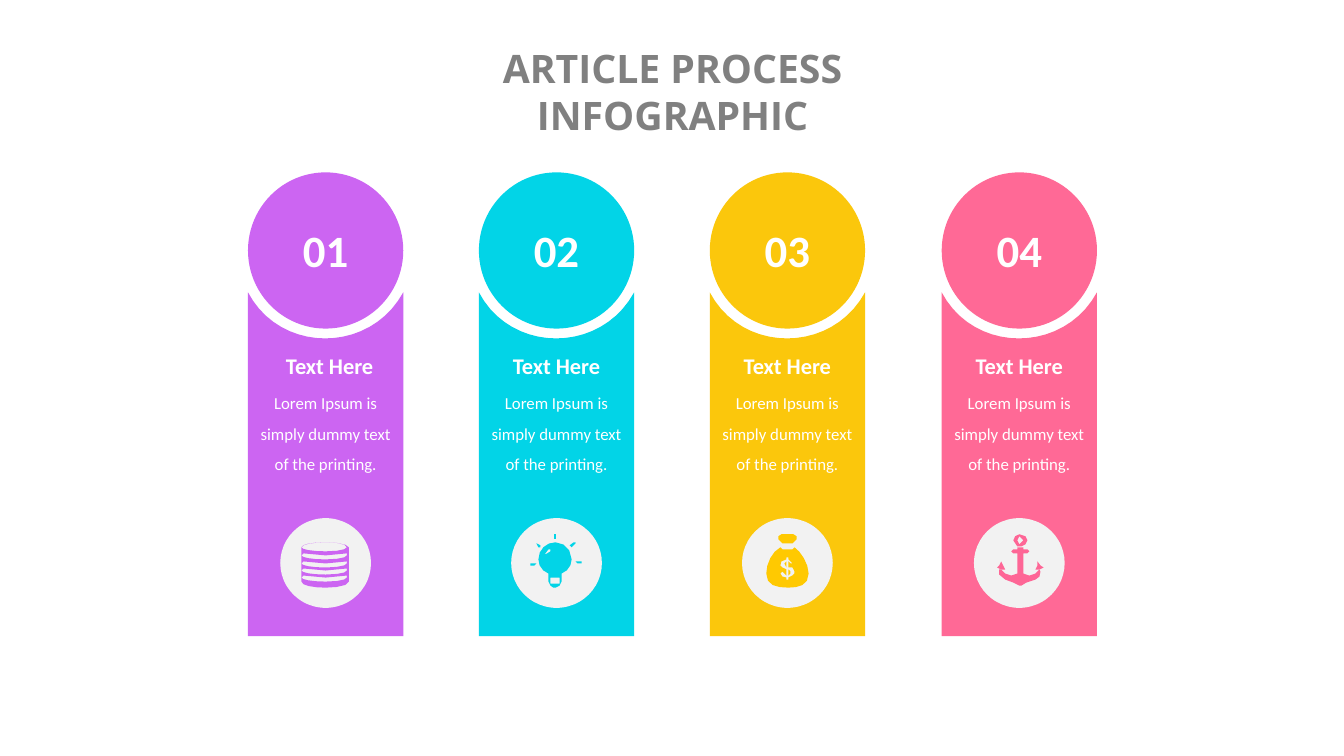
from dataclasses import dataclass
from math import dist
from pptx import Presentation
from pptx.dml.color import RGBColor
from pptx.enum.shapes import MSO_SHAPE
from pptx.enum.text import PP_ALIGN
from pptx.util import Pt

PX = 9144


@dataclass(frozen=True)
class Theme:
    white: str = "FFFFFF"
    title: str = "808080"
    badge: str = "F2F2F2"
    columns: tuple = ("CC65F2", "02D4E7", "FBC70C", "FF6996")
    icons: tuple = ("CC65F2", "02D4E7", "FFC901", "FE6696")
    title_font: str = "Open Sans"
    body_font: str = "Calibri"
    title_size: int = 28
    number_size: int = 32
    heading_size: int = 16
    body_size: int = 12


theme = Theme()
deck = Presentation()
deck.slide_width, deck.slide_height = 1333 * PX, 750 * PX
slide = deck.slides.add_slide(deck.slide_layouts[6])


def write(text, left, top, width, height, size, color=theme.white,
          font=theme.body_font, bold=True, wrap=False, margin=10, spacing=None):
    box = slide.shapes.add_textbox(left * PX, top * PX, width * PX, height * PX)
    frame = box.text_frame
    frame.word_wrap = wrap
    frame.margin_left = frame.margin_right = margin * PX
    paragraph = frame.paragraphs[0]
    paragraph.alignment = PP_ALIGN.CENTER
    paragraph.line_spacing = spacing
    run = paragraph.add_run()
    run.text = text
    run.font.name, run.font.size, run.font.bold = font, Pt(size), bold
    run.font.color.rgb = RGBColor.from_string(color)


def draw_outline(shapes, contours, color):
    builder = None
    for start, *segments in contours:
        points = [start]
        for segment in segments:
            if len(segment) == 2:
                points.append(segment)
                continue
            curve = [points[-1], segment[:2], segment[2:4], segment[4:]]
            steps = 1 + int(dist(curve[0], curve[3]) / 8)
            for step in range(1, steps + 1):
                t = step / steps
                weights = ((1 - t) ** 3, 3 * t * (1 - t) ** 2, 3 * t * t * (1 - t), t ** 3)
                points.append(tuple(sum(w * p[axis] for w, p in zip(weights, curve))
                                    for axis in (0, 1)))
        scaled = [(round(x * PX), round(y * PX)) for x, y in points]
        if builder is None:
            builder = shapes.build_freeform(*scaled[0], scale=1.0)
        else:
            builder.move_to(*scaled[0])
        builder.add_line_segments(scaled[1:], close=True)
    outline = builder.convert_to_shape()
    outline.shadow.inherit = False
    outline.fill.solid()
    outline.fill.fore_color.rgb = RGBColor.from_string(color)
    outline.line.fill.background()


coin_stack = [
    [(299, 543), (299, 540, 311, 538, 323, 538), (334, 538, 346, 540, 346, 543),
     (346, 577), (346, 581, 334, 583, 323, 583), (311, 583, 299, 581, 299, 577)],
    [(323, 538), (336, 538, 344, 540, 344, 543), (344, 545, 336, 547, 323, 547),
     (309, 547, 299, 545, 299, 543), (299, 540, 309, 538, 323, 538)],
]
for drop in (0, 8, 15, 22):
    coin_stack.append([
        (344, 551 + drop),
        (344, 553 + drop, 336, 555 + drop, 323, 555 + drop),
        (309, 555 + drop, 299, 553 + drop, 299, 551 + drop),
        (301, 549 + drop), (323, 551 + drop), (344, 549 + drop),
    ])

light_bulb = [
    [[(549, 535), (549, 530), (551, 530), (551, 535)]],
    [[(532, 539), (536, 541), (536, 543), (534, 543)]],
    [[(526, 559), (532, 559), (530, 561), (526, 561)]],
    [[(571, 557), (577, 557), (577, 559), (573, 559)]],
    [[(565, 541), (569, 538), (571, 538), (571, 539), (567, 543)]],
    [
        [(567, 555), (567, 545, 559, 538, 551, 538), (542, 538, 534, 545, 534, 555),
         (534, 561, 538, 567, 544, 569), (544, 577), (546, 581), (549, 583),
         (551, 583), (555, 581), (557, 577), (557, 569), (563, 567, 567, 561, 567, 555)],
        [(555, 573), (555, 579), (546, 579), (546, 573)],
        [(546, 547), (541, 550), (540, 555), (541, 549), (544, 545), (546, 545)],
    ],
]

money_bag = [
    [[(778, 559), (780, 563), (780, 557)]],
    [[(782, 565), (782, 571), (784, 569), (784, 567)]],
    [[(786, 539), (790, 535), (790, 532), (787, 530), (775, 530), (772, 532),
      (772, 535), (776, 539)]],
    [
        [(788, 543), (786, 545), (776, 545), (774, 543), (766, 547, 760, 559, 760, 569),
         (760, 581, 770, 583, 782, 583), (792, 583, 802, 581, 802, 569),
         (802, 559, 794, 547, 788, 543)],
        [(786, 571), (782, 573), (782, 575), (780, 575), (780, 573), (776, 572),
         (774, 569), (776, 567), (780, 571), (780, 565), (776, 563), (774, 561),
         (775, 557), (780, 555), (780, 553), (782, 553), (782, 555), (786, 559),
         (784, 559), (782, 557), (782, 563), (786, 563), (788, 567), (788, 569)],
    ],
]

anchor = [
    [
        [(1019, 536), (1017, 532), (1011, 530), (1007, 532), (1005, 536),
         (1009, 542), (1013, 542), (1017, 540)],
        [(1011, 540), (1009, 536), (1011, 532), (1015, 536)],
    ],
    [[(993, 557), (991, 561), (989, 563), (993, 565), (997, 565), (995, 561)]],
    [[(1035, 563), (1032, 561), (1029, 557), (1029, 561), (1027, 565), (1031, 565)]],
    [[(1032, 567), (1031, 565), (1029, 567), (1027, 569), (1021, 571), (1015, 569),
      (1015, 549), (1019, 549), (1021, 547), (1019, 545), (1015, 545), (1015, 543),
      (1009, 543), (1009, 545), (1005, 545), (1003, 547), (1005, 549), (1009, 549),
      (1009, 569), (1003, 571), (997, 569), (993, 565), (991, 565), (991, 570),
      (997, 575), (1005, 578), (1011, 581), (1013, 581), (1018, 578), (1027, 575),
      (1031, 572)]],
]

icons = ([coin_stack], light_bulb, money_bag, anchor)
heading_shifts = (4, 0, 0, 0)
for index, (color, icon_color, icon, heading_shift) in enumerate(
        zip(theme.columns, theme.icons, icons, heading_shifts)):
    center = 323 + 688 * index // 3
    left, right = center - 77, center + 77
    draw_outline(slide.shapes, [[
        (right, 290), (right, 631), (left, 631), (left, 290),
        (left + 32, 351, right - 33, 351, right, 290),
    ]], color)
    for top, width, height, fill in ((171, 154, 155, color), (514, 90, 89, theme.badge)):
        disc = slide.shapes.add_shape(MSO_SHAPE.OVAL, (center - width // 2) * PX,
                                      top * PX, width * PX, height * PX)
        disc.shadow.inherit = False
        disc.fill.solid()
        disc.fill.fore_color.rgb = RGBColor.from_string(fill)
        disc.line.fill.background()
    canvas = slide.shapes.add_group_shape().shapes if len(icon) > 1 else slide.shapes
    for part in icon:
        draw_outline(canvas, part, icon_color)
    write(f"{index + 1:02}", center - 39, 216, 78, 64, theme.number_size)
    write("Text Here", center - 60 + heading_shift, 344, 120, 37, theme.heading_size)
    write("Lorem Ipsum is simply dummy text of the printing.", center - 65, 375, 130, 131,
          theme.body_size, bold=False, wrap=True, margin=0, spacing=1.5)

write("ARTICLE PROCESS INFOGRAPHIC", 352, 39, 630, 57, theme.title_size,
      color=theme.title, font=theme.title_font, wrap=True, margin=20)
deck.save("out.pptx")
